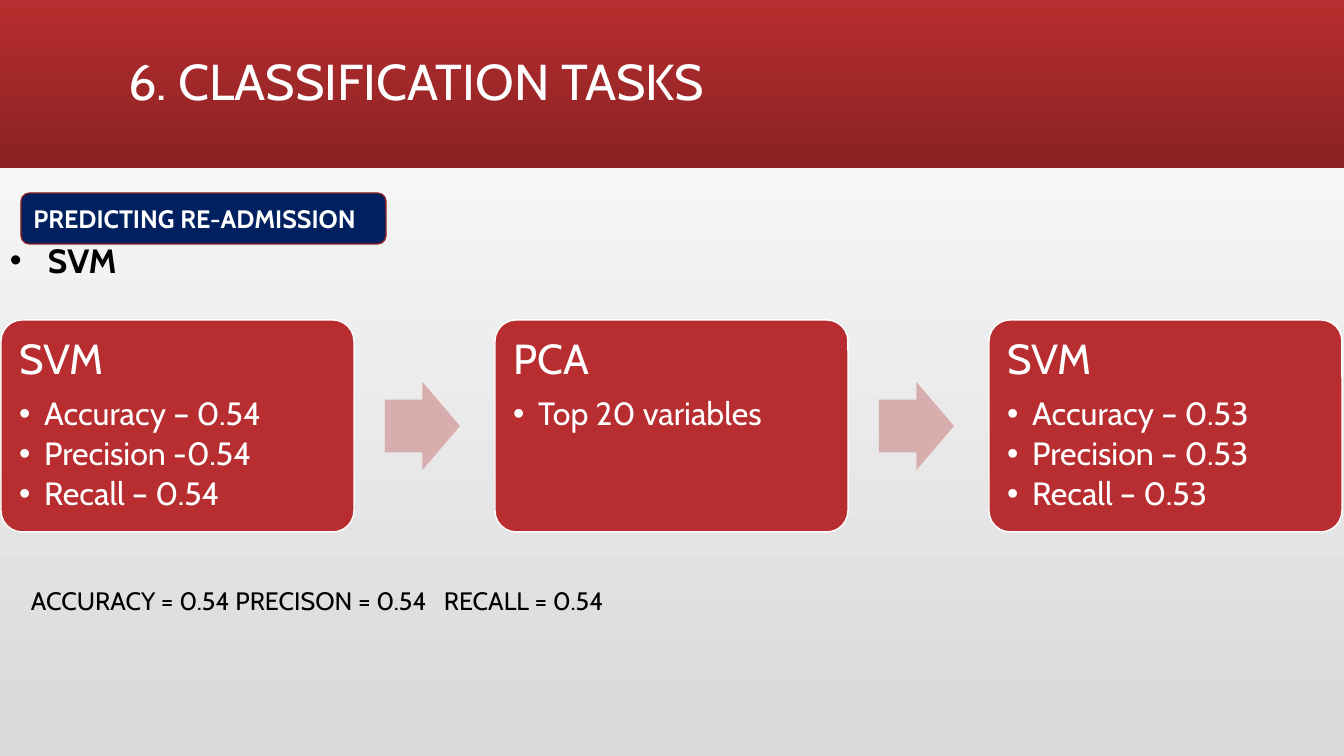
from dataclasses import dataclass

from lxml import etree
from pptx import Presentation
from pptx.dml.color import RGBColor
from pptx.enum.shapes import MSO_SHAPE
from pptx.enum.text import MSO_ANCHOR, PP_ALIGN
from pptx.oxml.ns import qn
from pptx.util import Pt

RECTANGLE = MSO_SHAPE.RECTANGLE
ROUNDED = MSO_SHAPE.ROUNDED_RECTANGLE
ARROW = MSO_SHAPE.RIGHT_ARROW
TOP = MSO_ANCHOR.TOP
MIDDLE = MSO_ANCHOR.MIDDLE
LEFT = PP_ALIGN.LEFT

PX = 914400 / 100.8
SLIDE_WIDTH, SLIDE_HEIGHT = 1344, 756
TITLE_ONLY = 5
CARD_LEFT, CARD_TOP, CARD_WIDTH, CARD_HEIGHT = 1, 320, 353, 212
CARD_PITCH = 494
ARROW_OFFSET, ARROW_TOP, ARROW_WIDTH, ARROW_HEIGHT = 384, 382, 75, 88

CARDS = [
    ("SVM", ["Accuracy – 0.54", "Precision -0.54", "Recall – 0.54"]),
    ("PCA", ["Top 20 variables"]),
    ("SVM", ["Accuracy – 0.53", "Precision – 0.53", "Recall – 0.53"]),
]


@dataclass(frozen=True)
class Theme:
    font: str = "Cabin"
    red: str = "B82D2F"
    dark_red: str = "8A2223"
    badge_line: str = "882123"
    pink: str = "D8ADAD"
    navy: str = "002060"
    grey: str = "D9D9D9"
    white: str = "FFFFFF"
    black: str = "000000"
    title: int = 36
    heading: int = 30
    subtitle: int = 24
    item: int = 23
    body: int = 18


THEME = Theme()


def emu(px):
    return round(px * PX)


def color(value):
    return RGBColor.from_string(value)


def fill_gradient(fill, start, end, angle):
    fill.gradient()
    fill.gradient_angle = angle
    for stop, value in zip(fill.gradient_stops, (start, end)):
        stop.color.rgb = color(value)


def add_box(slide, kind, area, fill=None, line=None):
    box = slide.shapes.add_shape(kind, *map(emu, area))
    box.shadow.inherit = False
    if fill:
        box.fill.solid()
        box.fill.fore_color.rgb = color(fill)
    if line:
        box.line.color.rgb = color(line)
        box.line.width = Pt(1)
    else:
        box.line.fill.background()
    return box


def add_text_box(slide, area):
    frame = slide.shapes.add_textbox(*map(emu, area)).text_frame
    frame.word_wrap = True
    return frame


def write(para, text, size, ink, bold=False):
    para.text = text
    para.alignment = LEFT
    for span in para.runs:
        span.font.name = THEME.font
        span.font.size = Pt(size)
        span.font.bold = bold
        span.font.color.rgb = color(ink)


def add_bullet(para, indent):
    properties = para._p.get_or_add_pPr()
    properties.set("marL", str(emu(indent)))
    properties.set("indent", str(-emu(indent)))
    etree.SubElement(properties, qn("a:buFont"), typeface="Arial")
    etree.SubElement(properties, qn("a:buChar"), char="•")


def add_tab(para, position):
    tabs = etree.SubElement(para._p.get_or_add_pPr(), qn("a:tabLst"))
    etree.SubElement(tabs, qn("a:tab"), pos=str(emu(position)), algn="l")


def add_title(slide, text):
    title = slide.shapes.title
    title.left, title.top, title.width, title.height = map(emu, (118, 11, 1109, 146))
    title.text_frame.vertical_anchor = MIDDLE
    para = title.text_frame.paragraphs[0]
    write(para, text, THEME.title, THEME.white)
    para.line_spacing = 0.9
    slide.shapes._spTree.append(title._element)


def add_card(slide, left, heading, items):
    area = (left, CARD_TOP, CARD_WIDTH, CARD_HEIGHT)
    card = add_box(slide, ROUNDED, area, THEME.red, THEME.white)
    card.adjustments[0] = 0.1
    frame = card.text_frame
    frame.word_wrap = True
    frame.vertical_anchor = TOP
    frame.margin_left = frame.margin_right = emu(12)
    frame.margin_top = frame.margin_bottom = emu(12)
    para = frame.paragraphs[0]
    write(para, heading, THEME.heading, THEME.white)
    para.line_spacing = 0.9
    para.space_after = Pt(10.5)
    for item in items:
        para = frame.add_paragraph()
        add_bullet(para, 25)
        write(para, item, THEME.item, THEME.white)
        para.line_spacing = 0.9
        para.space_after = Pt(3.45)


def add_flow(slide):
    for index, (heading, items) in enumerate(CARDS):
        left = CARD_LEFT + index * CARD_PITCH
        add_card(slide, left, heading, items)
        if index < len(CARDS) - 1:
            area = (left + ARROW_OFFSET, ARROW_TOP, ARROW_WIDTH, ARROW_HEIGHT)
            arrow = add_box(slide, ARROW, area, THEME.pink)
            arrow.adjustments[0] = 0.6


def add_badge(slide, text):
    badge = add_box(slide, ROUNDED, (21, 193, 365, 51), THEME.navy, THEME.badge_line)
    badge.text_frame.vertical_anchor = MIDDLE
    write(badge.text_frame.paragraphs[0], text, THEME.body, THEME.white, bold=True)


def main():
    deck = Presentation()
    deck.slide_width, deck.slide_height = emu(SLIDE_WIDTH), emu(SLIDE_HEIGHT)
    slide = deck.slides.add_slide(deck.slide_layouts[TITLE_ONLY])
    fill_gradient(slide.background.fill, THEME.grey, THEME.white, 90)
    band = add_box(slide, RECTANGLE, (0, 0, SLIDE_WIDTH, 168))
    fill_gradient(band.fill, THEME.red, THEME.dark_red, 270)

    add_flow(slide)

    method = add_text_box(slide, (0, 235, 454, 50)).paragraphs[0]
    add_bullet(method, 38)
    write(method, "SVM", THEME.subtitle, THEME.black, bold=True)

    scores = add_text_box(slide, (21, 580, 1210, 40)).paragraphs[0]
    add_tab(scores, 413)
    write(scores, "ACCURACY = 0.54 PRECISON = 0.54\tRECALL = 0.54", THEME.body, THEME.black)

    add_badge(slide, "PREDICTING RE-ADMISSION")
    add_title(slide, "6. CLASSIFICATION TASKS")
    deck.save("out.pptx")


if __name__ == "__main__":
    main()
